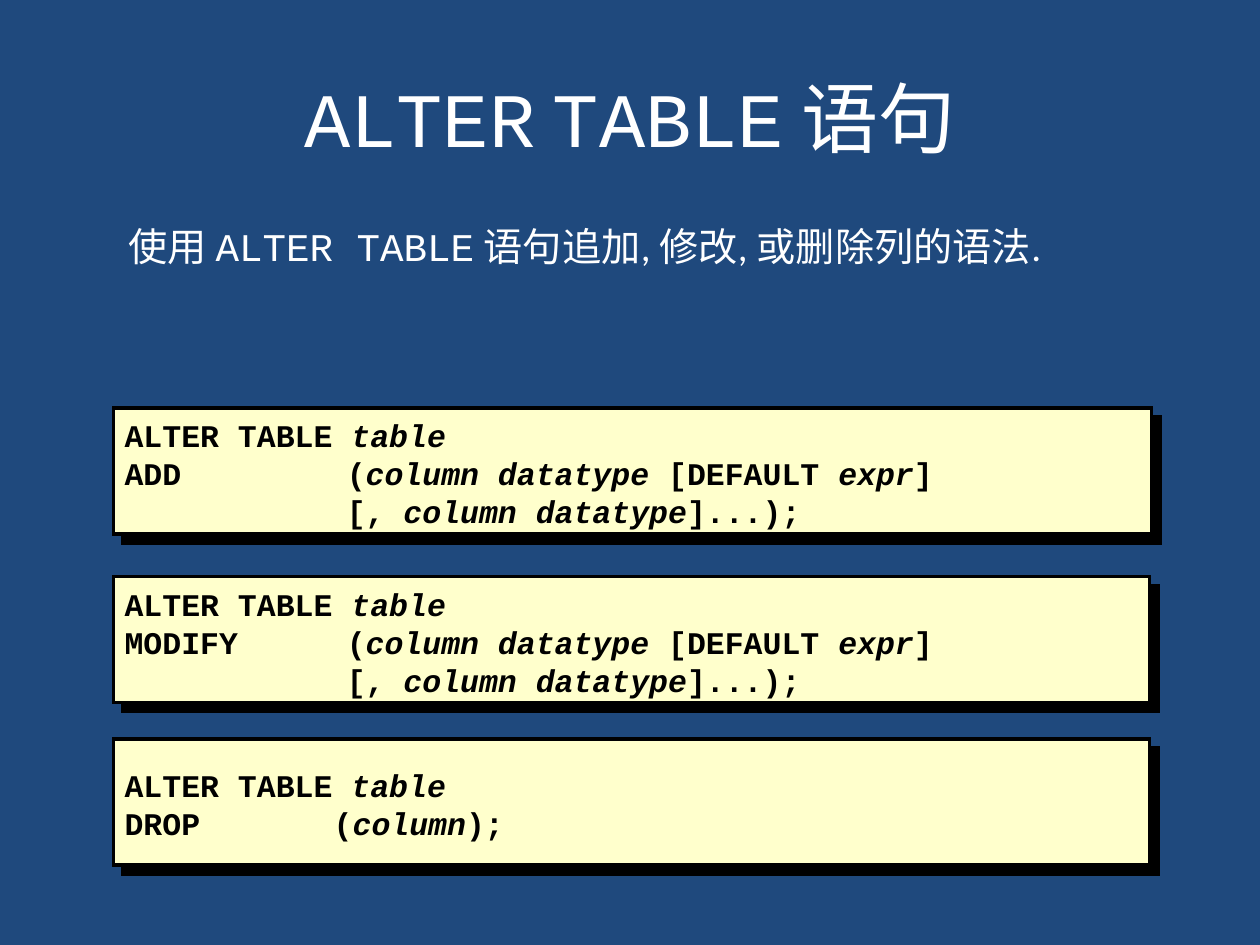
from dataclasses import dataclass

from lxml import etree
from pptx import Presentation
from pptx.dml.color import RGBColor
from pptx.enum import shapes, text
from pptx.oxml import ns
from pptx.util import Pt


@dataclass(frozen=True)
class Theme:
    background: str = "1F497D"
    light: str = "FFFFFF"
    panel: str = "FFFFCC"
    ink: str = "000000"
    sans: str = "Calibri"
    mono: str = "Courier New"
    title_size: float = 44
    intro_size: float = 22.4
    code_size: float = 18
    code_leading: float = 21.7


THEME = Theme()

ALTER = [("ALTER TABLE ", False), ("table", True)]


def column_syntax(keyword):
    return [
        ALTER,
        [(f"{keyword}\t(", False), ("column datatype ", True),
         ("[DEFAULT ", False), ("expr", True), ("]", False)],
        [("\t[, ", False), ("column datatype", True), ("]...);", False)],
    ]


STATEMENTS = [
    (233.3, 593, 127, column_syntax("ADD")),
    (329.5, 592, 127, column_syntax("MODIFY")),
    (422.4, 592, 119.5,
     [ALTER, [("DROP\t(", False), ("column", True), (");", False)]]),
]


def colour(value):
    return RGBColor.from_string(value)


def add_run(paragraph, words, face, size, ink, bold=False, italic=False):
    run = paragraph.add_run()
    run.text = words
    run.font.name = face
    run.font.size = Pt(size)
    run.font.color.rgb = colour(ink)
    run.font.bold = bold
    run.font.italic = italic


def add_frame(slide, left, top, width, height, anchor):
    box = slide.shapes.add_textbox(Pt(left), Pt(top), Pt(width), Pt(height))
    frame = box.text_frame
    frame.word_wrap = True
    frame.vertical_anchor = anchor
    return frame


def add_title(slide):
    frame = add_frame(slide, 36, 21.6, 648, 90, text.MSO_ANCHOR.MIDDLE)
    heading = frame.paragraphs[0]
    heading.alignment = text.PP_ALIGN.CENTER
    for words, face in [("ALTER", THEME.mono), (" ", THEME.sans),
                        ("TABLE", THEME.mono), (" 语句", THEME.sans)]:
        add_run(heading, words, face, THEME.title_size, THEME.light)


def add_intro(slide):
    frame = add_frame(slide, 66.2, 131.8, 588.2, 29.5, text.MSO_ANCHOR.TOP)
    sentence = frame.paragraphs[0]
    sentence.line_spacing = 0.65
    for words, face in [("使用 ", THEME.sans), ("ALTER TABLE", THEME.mono),
                        (" 语句追加, 修改, 或删除列的语法.", THEME.sans)]:
        add_run(sentence, words, face, THEME.intro_size, THEME.light)


def add_hard_shadow(shape):
    shape.shadow.inherit = False
    effects = shape._element.spPr.find(ns.qn("a:effectLst"))
    shadow = etree.SubElement(
        effects, ns.qn("a:outerShdw"), blurRad="0", dist=str(Pt(7.1)),
        dir="2700000", algn="ctr", rotWithShape="0")
    etree.SubElement(shadow, ns.qn("a:srgbClr"), val=THEME.ink)


def add_panel(slide, top, width):
    panel = slide.shapes.add_shape(
        shapes.MSO_SHAPE.RECTANGLE, Pt(65), Pt(top), Pt(width), Pt(72))
    panel.fill.solid()
    panel.fill.fore_color.rgb = colour(THEME.panel)
    panel.line.color.rgb = colour(THEME.ink)
    panel.line.width = Pt(2)
    outline = panel._element.spPr.find(ns.qn("a:ln"))
    etree.SubElement(outline, ns.qn("a:miter"), lim="800000")
    add_hard_shadow(panel)


def add_tab_stop(paragraph, position):
    tabs = etree.SubElement(
        paragraph._p.get_or_add_pPr(), ns.qn("a:tabLst"))
    etree.SubElement(tabs, ns.qn("a:tab"), pos=str(Pt(position)), algn="l")


def add_code(slide, top, tab, lines):
    frame = add_frame(slide, 64.1, top, 574.6, 74.2, text.MSO_ANCHOR.MIDDLE)
    for number, parts in enumerate(lines):
        line = frame.add_paragraph() if number else frame.paragraphs[0]
        add_tab_stop(line, tab)
        line.line_spacing = Pt(THEME.code_leading)
        for words, italic in parts:
            add_run(line, words, THEME.mono, THEME.code_size, THEME.ink,
                    bold=True, italic=italic)


def main():
    deck = Presentation()
    deck.slide_width, deck.slide_height = Pt(720), Pt(540)
    slide = deck.slides.add_slide(deck.slide_layouts[6])
    slide.background.fill.solid()
    slide.background.fill.fore_color.rgb = colour(THEME.background)
    add_title(slide)
    add_intro(slide)
    for top, width, tab, lines in STATEMENTS:
        add_panel(slide, top, width)
        add_code(slide, top, tab, lines)
    deck.save("out.pptx")


if __name__ == "__main__":
    main()
